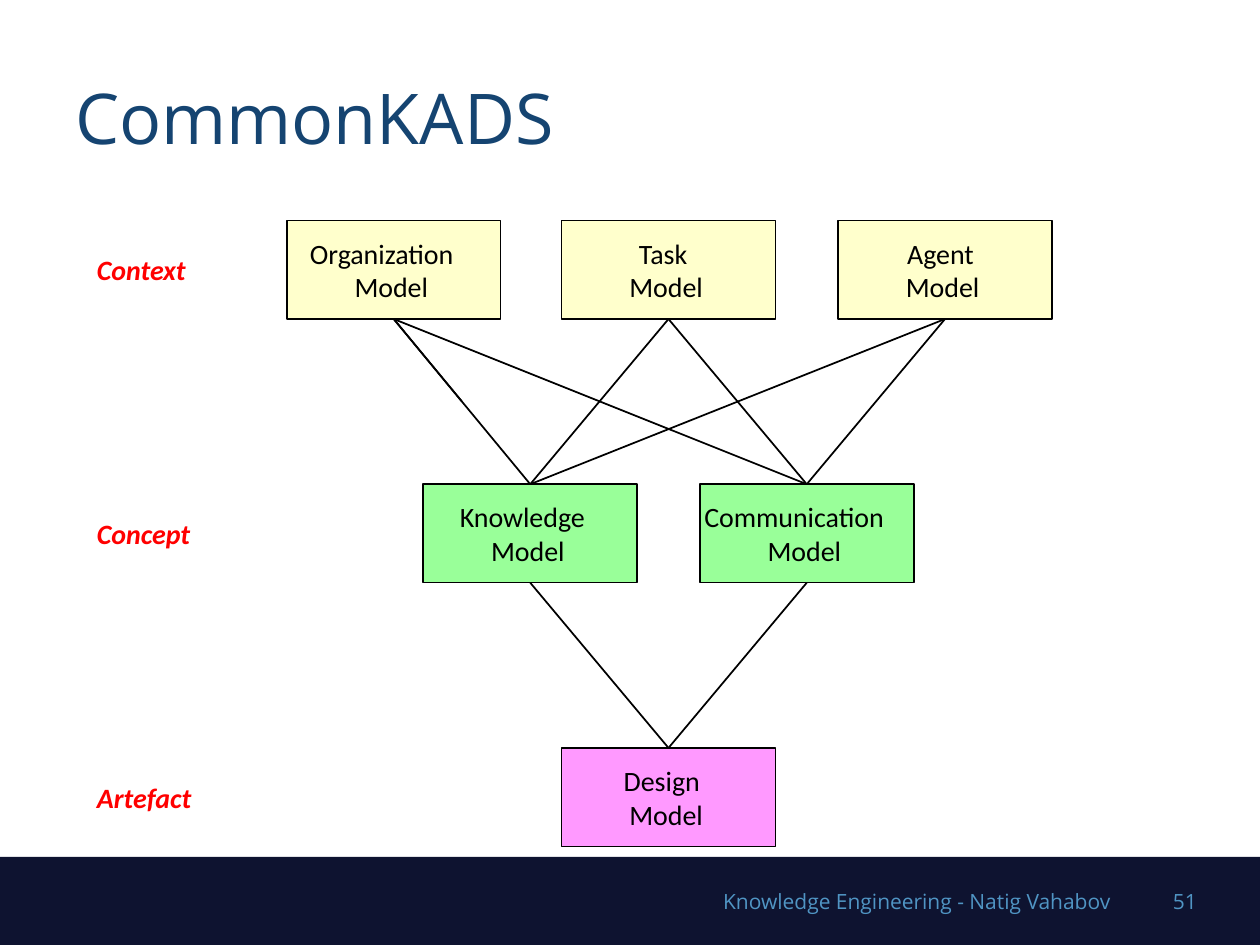
from pptx import Presentation
from pptx.dml.color import RGBColor
from pptx.enum.shapes import MSO_CONNECTOR as CONN, MSO_SHAPE as SHAPE
from pptx.enum.text import MSO_ANCHOR as ANCHOR, MSO_AUTO_SIZE as AUTO, PP_ALIGN as ALIGN
from pptx.oxml.ns import qn
from pptx.util import Pt
from lxml import etree

BLACK = RGBColor(0x00, 0x00, 0x00)
RED = RGBColor(0xFF, 0x00, 0x00)
NAVY = RGBColor(0x0E, 0x13, 0x30)
TITLE_BLUE = RGBColor(0x15, 0x44, 0x71)
FOOTER_BLUE = RGBColor(0x50, 0x95, 0xC4)
YELLOW = RGBColor(0xFF, 0xFF, 0xCC)
GREEN = RGBColor(0x99, 0xFF, 0x99)
PINK = RGBColor(0xFF, 0x99, 0xFF)

BOX_W, BOX_H = 122.2, 56.3
CENTERS = (225, 303, 382, 461, 540)
TOP, ROW_STEP = 126, 150.7
LINE_H = 19.2

# name: (column, row, fill, left of the name from the box centre, name width)
MODELS = {
    "Organization": (0, 0, YELLOW, -47.9, 82.8),
    "Task": (2, 0, YELLOW, -16.9, 28.8),
    "Agent": (4, 0, YELLOW, -21.6, 38.2),
    "Knowledge": (1, 1, GREEN, -40.2, 72),
    "Communication": (3, 1, GREEN, -58.5, 103),
    "Design": (2, 2, PINK, -25.6, 43.9),
}
LINKS = [(context, concept)
         for context in ("Organization", "Task", "Agent")
         for concept in ("Knowledge", "Communication")]
LINKS += [("Knowledge", "Design"), ("Communication", "Design")]
LEVELS = {"Context": 51.1, "Concept": 53.3, "Artefact": 54}


class Deck:
    """Holds the current slide and the style of its elements."""

    def __init__(self, s, font="Calibri", size=16, color=BLACK, line_width=1):
        self.s = s
        self.font, self.size, self.color = font, size, color
        self.line_width = line_width

    def rect(self, x, y, w, h, fill, outline=True):
        sp = self.s.shapes.add_shape(SHAPE.RECTANGLE, Pt(x), Pt(y), Pt(w), Pt(h))
        sp.shadow.inherit = False
        sp.fill.solid()
        sp.fill.fore_color.rgb = fill
        if outline:
            sp.line.color.rgb = self.color
            sp.line.width = Pt(self.line_width)
        else:
            sp.line.fill.background()

    def line(self, x1, y1, x2, y2):
        c = self.s.shapes.add_connector(CONN.STRAIGHT, Pt(x1), Pt(y1), Pt(x2), Pt(y2))
        c.line.color.rgb = self.color
        c.line.width = Pt(self.line_width)
        etree.SubElement(c._element.spPr, qn("a:effectLst"))

    def text(self, text, x, y, w, h=LINE_H, *, font=None, size=None, color=None,
             bold=False, italic=False, align=ALIGN.LEFT, anchor=ANCHOR.TOP,
             insets=(0, 0, 0, 0), wrap=False):
        """Insets run left, top, right, bottom; unwrapped text sizes its box."""
        tf = self.s.shapes.add_textbox(Pt(x), Pt(y), Pt(w), Pt(h)).text_frame
        tf.word_wrap = wrap
        tf.auto_size = AUTO.NONE if wrap else AUTO.SHAPE_TO_FIT_TEXT
        tf.vertical_anchor = anchor
        (tf.margin_left, tf.margin_top,
         tf.margin_right, tf.margin_bottom) = map(Pt, insets)
        p = tf.paragraphs[0]
        p.alignment = align
        r = p.add_run()
        r.text = text
        r.font.name = font or self.font
        r.font.size = Pt(size or self.size)
        r.font.color.rgb = color or self.color
        r.font.bold, r.font.italic = bold, italic


def center_top(name):
    col, row = MODELS[name][:2]
    return CENTERS[col], TOP + row * ROW_STEP


def link(deck, upper, lower, share=1):
    """Join two models, or draw only the first share of the way."""
    x1, y1 = center_top(upper)
    x2, y2 = center_top(lower)
    y1 += BOX_H
    deck.line(x1, y1, x1 + (x2 - x1) * share, y1 + (y2 - y1) * share)


def draw_frame(deck):
    deck.rect(0, 489.6, 720, 50.4, NAVY, outline=False)
    deck.text("CommonKADS", 36, 21.6, 648, 90, font="Open Sans", size=40,
              color=TITLE_BLUE, anchor=ANCHOR.MIDDLE,
              insets=(7.2, 3.6, 7.2, 3.6), wrap=True)
    footer = dict(font="Open Sans", size=12, color=FOOTER_BLUE,
                  align=ALIGN.RIGHT, anchor=ANCHOR.MIDDLE, wrap=True)
    deck.text("Knowledge Engineering - Natig Vahabov", 172, 500.4, 470, 28.8,
              insets=(7.2, 3.6, 7.2, 3.6), **footer)
    deck.text("51", 652.3, 500.4, 31.7, 28.8, insets=(7.2, 3.6, 0, 3.6), **footer)


def draw_models(deck):
    for upper, lower in LINKS:
        link(deck, upper, lower)
    link(deck, "Organization", "Knowledge", share=0.5)
    for name, (_, _, fill, offset, width) in MODELS.items():
        x, y = center_top(name)
        deck.rect(x - BOX_W / 2, y, BOX_W, BOX_H, fill)
        deck.text(name, x + offset, y + 9, width)
        deck.text("Model", x - 22.4, y + 9 + LINE_H, 43)
    for row, (level, width) in enumerate(LEVELS.items()):
        deck.text(level, 55.4, TOP + row * ROW_STEP + 18.5, width,
                  color=RED, bold=True, italic=True)


def main():
    prs = Presentation()
    prs.slide_width, prs.slide_height = Pt(720), Pt(540)
    deck = Deck(prs.slides.add_slide(prs.slide_layouts[6]))
    draw_frame(deck)
    draw_models(deck)
    prs.save("out.pptx")


if __name__ == "__main__":
    main()
